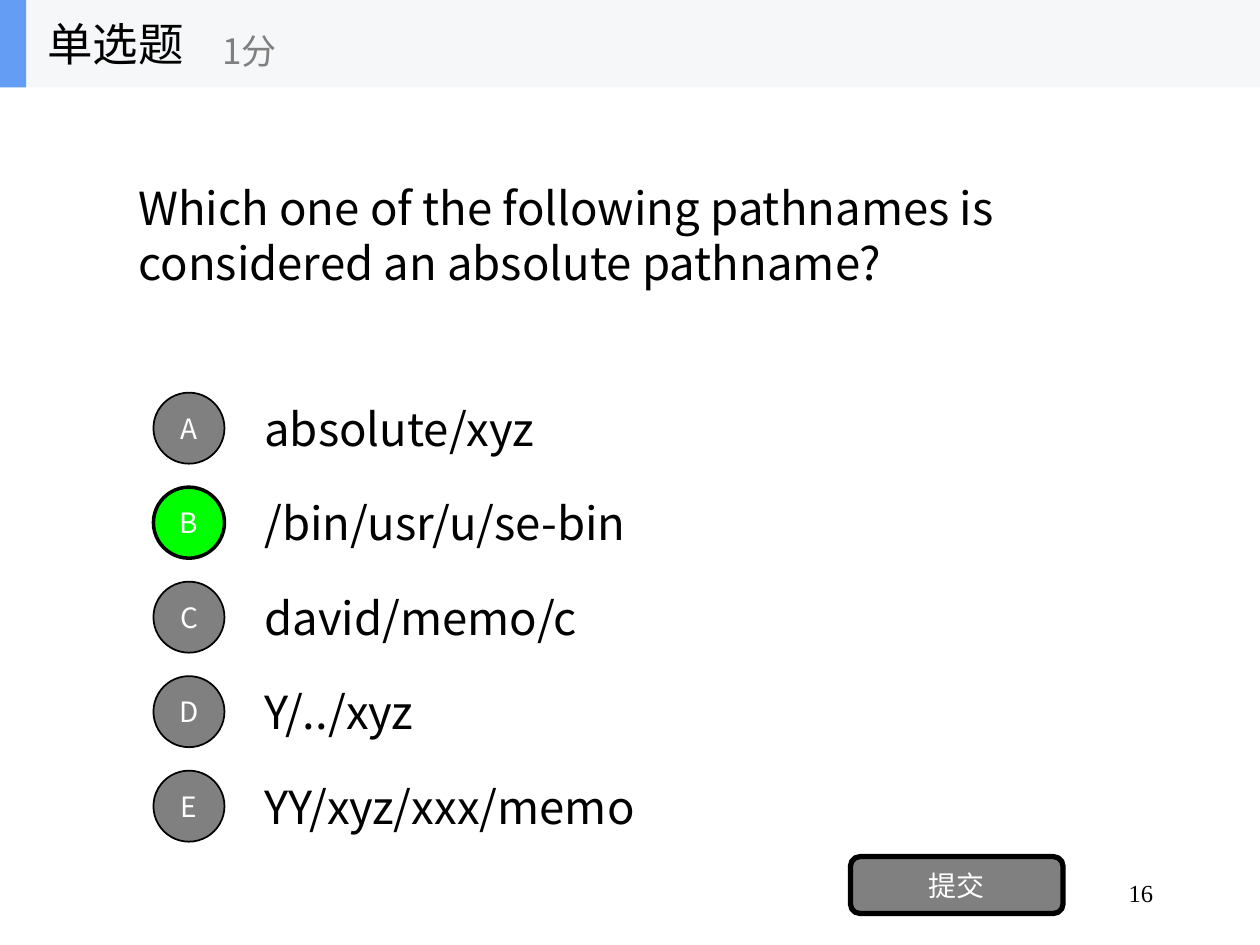
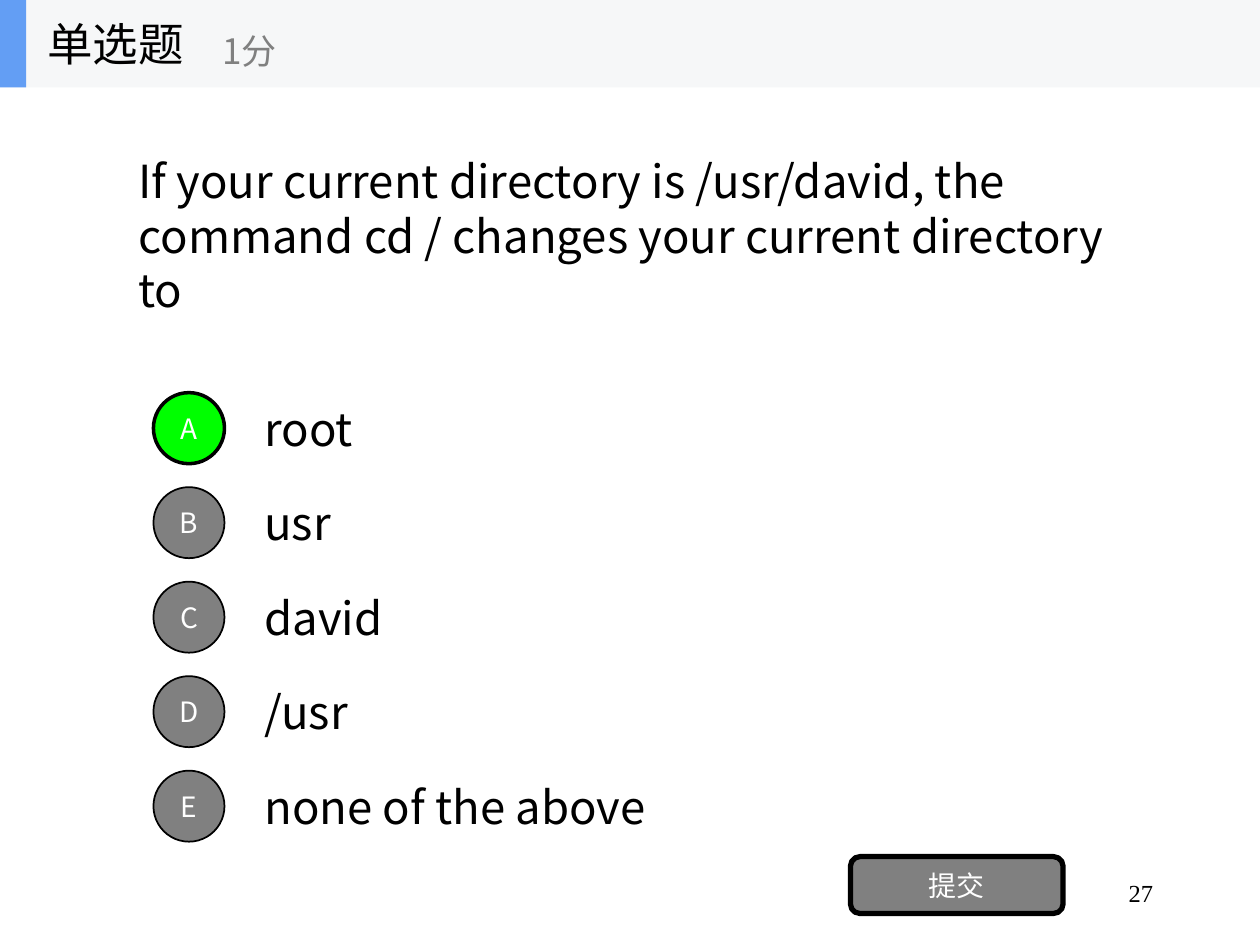
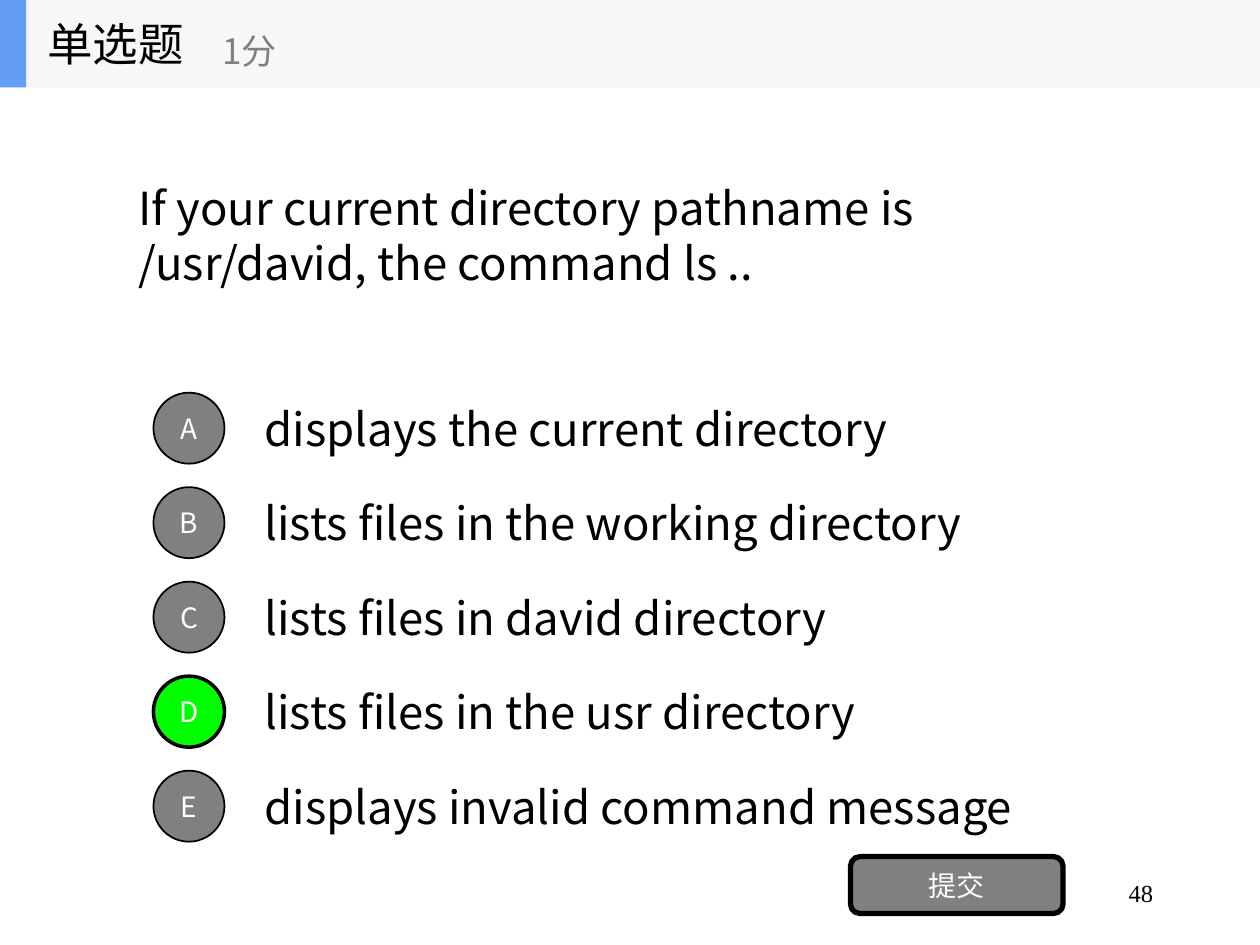
"""Build three single-choice quiz slides about directories and pathnames."""
from pptx import Presentation
from pptx.dml.color import RGBColor
from pptx.enum.shapes import MSO_SHAPE
from pptx.enum.text import MSO_ANCHOR, PP_ALIGN
from pptx.oxml.ns import qn
from pptx.util import Pt

QUESTIONS = [
    {
        "number": "16",
        "question": "Which one of the following pathnames is considered an absolute pathname?",
        "options": ["absolute/xyz", "/bin/usr/u/se-bin", "david/memo/c", "Y/../xyz", "YY/xyz/xxx/memo"],
        "answer": "B",
    },
    {
        "number": "27",
        "question": "If your current directory is /usr/david, the command cd / "
                    "changes your current directory to",
        "options": ["root", "usr", "david", "/usr", "none of the above"],
        "answer": "A",
    },
    {
        "number": "48",
        "question": "If your current directory pathname is /usr/david, the command ls ..",
        "options": [
            "displays the current directory",
            "lists files in the working directory",
            "lists files in david directory",
            "lists files in the usr directory",
            "displays invalid command message",
        ],
        "answer": "D",
    },
]
HEADING, SCORE, SUBMIT = "单选题", "1分", "提交"

COLORS = {
    "text": "000000",
    "white": "FFFFFF",
    "gray": "808080",
    "correct": "00FF00",
    "band": "F6F7F8",
    "accent": "639EF4",
}
SANS, SERIF = "Noto Sans CJK SC", "Times New Roman"

SLIDE_WIDTH, SLIDE_HEIGHT = 720, 540
BAND_HEIGHT = 50
OPTION_TOP, OPTION_STEP, OPTION_HEIGHT = 219.5, 54, 50.4
BADGE_LEFT, BADGE_SIZE = 87.7, 40.6


def color(name):
    return RGBColor.from_string(COLORS[name])


def write(box, text, size=26, ink="text", font=SANS, align=PP_ALIGN.LEFT, wrap=True, spacing=None):
    frame = box.text_frame
    frame.word_wrap = wrap
    frame.vertical_anchor = MSO_ANCHOR.MIDDLE
    para = frame.paragraphs[0]
    para.alignment = align
    para.line_spacing = spacing
    span = para.add_run()
    span.text = text
    span.font.size = Pt(size)
    span.font.color.rgb = color(ink)
    span.font.name = font
    properties = span.font._element
    properties.append(properties.makeelement(qn("a:ea"), {"typeface": font}))


def add_text(shapes, place, text, **style):
    write(shapes.add_textbox(*map(Pt, place)), text, **style)


def add_block(shapes, kind, place, fill, outline=0):
    block = shapes.add_shape(kind, *map(Pt, place))
    block.shadow.inherit = False
    block.fill.solid()
    block.fill.fore_color.rgb = color(fill)
    if outline:
        block.line.color.rgb = color("text")
        block.line.width = Pt(outline)
    else:
        block.line.fill.background()
    return block


def add_button(shapes, kind, place, text, fill="gray", outline=1):
    button = add_block(shapes, kind, place, fill, outline)
    write(button, text, size=16, ink="white", align=PP_ALIGN.CENTER, wrap=False)


def add_header(page):
    shapes = page.shapes.add_group_shape().shapes
    add_block(shapes, MSO_SHAPE.RECTANGLE, (0, 0, SLIDE_WIDTH, BAND_HEIGHT), "band")
    add_block(shapes, MSO_SHAPE.RECTANGLE, (0, 0, 15, BAND_HEIGHT), "accent")
    add_text(shapes, (20, 0, 150, BAND_HEIGHT), HEADING)
    add_text(shapes, (120, 9, 180, 40), SCORE, size=20, ink="gray")


def add_option(page, index, text, answer):
    letter = "ABCDE"[index]
    top = OPTION_TOP + index * OPTION_STEP
    badge_top = top + (OPTION_HEIGHT - BADGE_SIZE) / 2
    style = {"fill": "correct", "outline": 2} if letter == answer else {}
    add_text(page.shapes, (144, top, 504, OPTION_HEIGHT), text)
    add_button(page.shapes, MSO_SHAPE.OVAL, (BADGE_LEFT, badge_top, BADGE_SIZE, BADGE_SIZE), letter, **style)


def add_question(deck, item):
    page = deck.slides.add_slide(deck.slide_layouts[6])
    add_text(page.shapes, (516, 492, 150, 36), item["number"], size=14, font=SERIF, align=PP_ALIGN.RIGHT)
    add_text(page.shapes, (72, BAND_HEIGHT, 576, 168.5), item["question"])
    for index, text in enumerate(item["options"]):
        add_option(page, index, text, item["answer"])
    add_button(page.shapes, MSO_SHAPE.ROUNDED_RECTANGLE, (486, 489.5, 121.5, 32.5), SUBMIT, outline=3)
    add_header(page)


def main():
    deck = Presentation()
    deck.slide_width, deck.slide_height = Pt(SLIDE_WIDTH), Pt(SLIDE_HEIGHT)
    for item in QUESTIONS:
        add_question(deck, item)
    deck.save("out.pptx")


if __name__ == "__main__":
    main()
